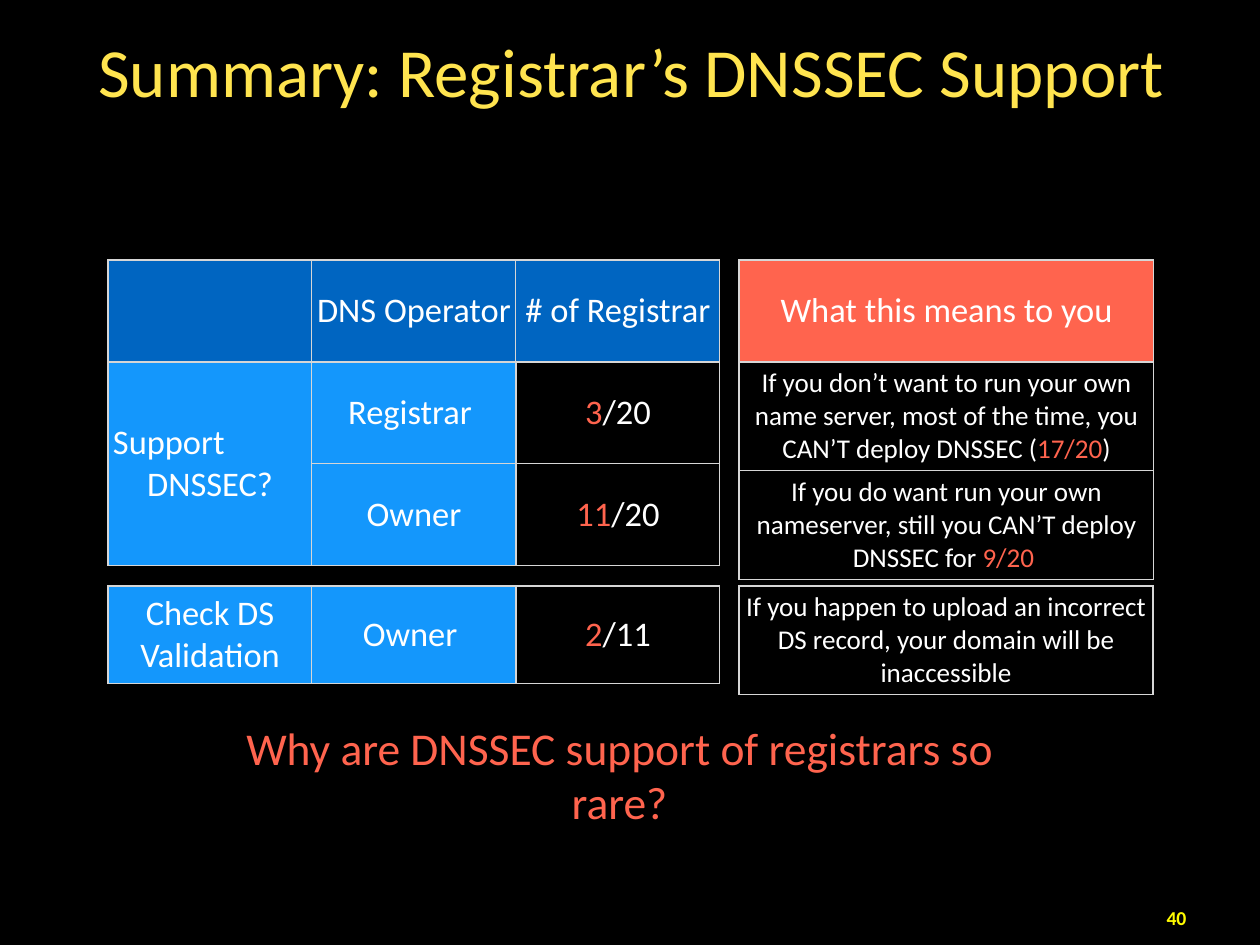
from pptx import Presentation
from pptx.dml.color import RGBColor
from pptx.enum.text import MSO_ANCHOR as Anchor, PP_ALIGN as Align
from pptx.oxml import parse_xml
from pptx.oxml.ns import nsdecls
from pptx.util import Pt

PX = 10321  # EMU per px
FONT = "Calibri"
BLACK = RGBColor(0x00, 0x00, 0x00)
WHITE = RGBColor(0xFF, 0xFF, 0xFF)
YELLOW = RGBColor(0xFF, 0xE4, 0x4F)
LEMON = RGBColor(0xFF, 0xFB, 0x00)
NAVY = RGBColor(0x00, 0x65, 0xC1)
BLUE = RGBColor(0x14, 0x97, 0xFC)
CORAL = RGBColor(0xFF, 0x64, 0x4E)
BORDER = RGBColor(0xD6, 0xD6, 0xD6)
INSET = 5

# Content: text between bars is coral; None continues the cell above
HEADING = "Summary: Registrar’s DNSSEC Support"
QUESTION = "Why are DNSSEC support of registrars so rare?"
PAGE = "40"

SUPPORT = [
    [("", NAVY), ("DNS Operator", NAVY), ("# of Registrar", NAVY)],
    [("Support \nDNSSEC?", BLUE), ("Registrar ", BLUE), ("|3|/20", None)],
    [None, ("Owner", BLUE), ("|11|/20", None)],
]
MEANING = [
    [("What this means to you", CORAL)],
    [("If you don’t want to run your own name server, most of the time, "
      "you CAN’T deploy DNSSEC (|17/20|)", None)],
    [("If you do want run your own nameserver, still you CAN’T deploy "
      "DNSSEC for |9/20 |", None)],
]
VALIDATION = [
    [("Check DS Validation", BLUE), ("Owner ", BLUE), ("|2|/11", None)],
]
WARNING = [
    [("If you happen to upload an incorrect DS record, your domain will be "
      "inaccessible", None)],
]

# rows, left, top, column width, row height, size of unfilled cells
TABLES = [
    (SUPPORT, 108, 260, 204, 102, 28),
    (MEANING, 739, 260, 415, 102, 22),
    (VALIDATION, 108, 586, 204, 98, 28),
    (WARNING, 739, 586, 414, 100, 22),
]


def px(*lengths):
    return [length * PX for length in lengths]


def write(paragraph, text, size, color, align=Align.CENTER, bold=False):
    paragraph.alignment = align
    font = paragraph.font
    font.name, font.size, font.bold = FONT, Pt(size), bold
    font.color.rgb = color
    for i, part in enumerate(text.split("|")):
        if part:
            run = paragraph.add_run()
            run.text = part
            if i % 2:
                run.font.color.rgb = CORAL


def set_insets(frame, inset):
    frame.margin_left = frame.margin_right = inset * PX
    frame.margin_top = frame.margin_bottom = inset * PX


def set_borders(cell, heavy):
    properties = cell._tc.get_or_add_tcPr()
    for side in "LRTB":
        width = Pt(2 if side in heavy else 1)
        properties.append(parse_xml(
            f'<a:ln{side} {nsdecls("a")} w="{width}"><a:solidFill>'
            f'<a:srgbClr val="{BORDER}"/></a:solidFill></a:ln{side}>'))


def fill_cell(cell, text, fill, size, heavy):
    set_borders(cell, heavy)
    if fill:
        cell.fill.solid()
        cell.fill.fore_color.rgb = fill
    else:
        cell.fill.background()
    cell.vertical_anchor = Anchor.MIDDLE
    set_insets(cell, INSET)
    frame = cell.text_frame
    lines = text.split("\n")
    for i, line in enumerate(lines):
        paragraph = frame.add_paragraph() if i else frame.paragraphs[0]
        last = i == len(lines) - 1
        write(paragraph, line, size, WHITE, Align.CENTER if last else Align.LEFT)


def add_grid(slide, rows, left, top, col_width, row_height, size):
    columns = len(rows[0])
    table = slide.shapes.add_table(
        len(rows), columns,
        *px(left, top, col_width * columns, row_height * len(rows))).table
    table.first_row = table.horz_banding = False
    for column in table.columns:
        column.width = col_width * PX
    for r, row in enumerate(rows):
        table.rows[r].height = row_height * PX
        for c, content in enumerate(row):
            cell = table.cell(r, c)
            if content is None:
                set_borders(cell, "")
                table.cell(r - 1, c).merge(cell)
                continue
            text, fill = content
            heavy = "B" if fill in (NAVY, CORAL) else ""
            if columns > 1 and fill is None:
                heavy += "L"
            if c + 1 < columns and row[c + 1][1] is None:
                heavy += "R"
            fill_cell(cell, text, fill, 28 if fill else size, heavy)


def add_label(slide, box, text, size, color, anchor, bold=False):
    frame = slide.shapes.add_textbox(*px(*box)).text_frame
    frame.word_wrap = False
    frame.vertical_anchor = anchor
    set_insets(frame, INSET)
    write(frame.paragraphs[0], text, size, color, bold=bold)


def main():
    deck = Presentation()
    deck.slide_width, deck.slide_height = px(1260, 945)
    slide = deck.slides.add_slide(deck.slide_layouts[5])
    slide.background.fill.solid()
    slide.background.fill.fore_color.rgb = BLACK

    # Title
    title = slide.shapes.title
    title.left, title.top, title.width, title.height = px(78, -25, 1107, 190)
    title.text_frame.vertical_anchor = Anchor.MIDDLE
    set_insets(title.text_frame, 0)
    write(title.text_frame.paragraphs[0], HEADING, 56, YELLOW)

    # Tables
    for grid in TABLES:
        add_grid(slide, *grid)

    # Closing question and page number
    add_label(slide, (189, 743, 861, 63), QUESTION, 37, CORAL, Anchor.MIDDLE)
    add_label(slide, (1159, 901, 35, 34), PAGE, 16, LEMON, Anchor.TOP, bold=True)

    deck.save("out.pptx")


if __name__ == "__main__":
    main()
